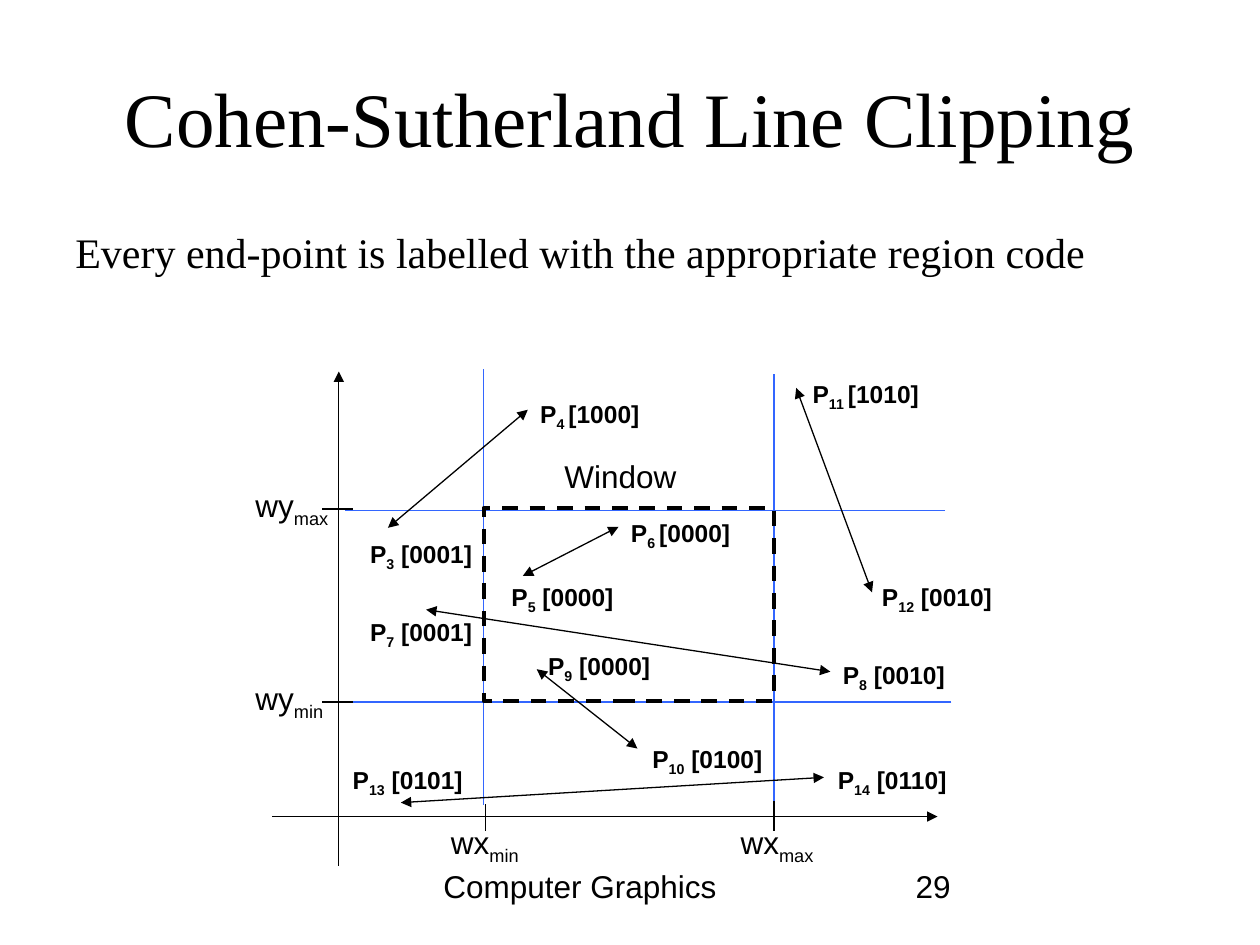
from typing import NamedTuple

from lxml.etree import SubElement
from pptx import Presentation
from pptx.dml.color import RGBColor
from pptx.enum.dml import MSO_LINE_DASH_STYLE as Dash
from pptx.enum.shapes import MSO_CONNECTOR as Connector, MSO_SHAPE as Shape
from pptx.enum.text import MSO_ANCHOR as Anchor, PP_ALIGN as Align
from pptx.oxml.ns import qn
from pptx.util import Cm, Pt

BLACK, BLUE = "000000", "3366FF"
SERIF, SANS = "Times New Roman", "Arial"
X_MIN, X_MAX, Y_MAX, Y_MIN = 9.75, 15.6, 10.29, 14.15
X_AXIS, Y_AXIS = 16.46, 6.83


class Line(NamedTuple):
    x1: float
    y1: float
    x2: float
    y2: float
    color: str = BLACK
    arrows: tuple[str, ...] = ()


class Label(NamedTuple):
    """Text at a place; the middle part is set as a subscript."""
    left: float
    top: float
    width: float
    height: float
    base: str
    subscript: str = ""
    rest: str = ""
    size: int = 18
    font: str = SANS
    bold: bool = False
    wrap: bool = False


class EndPoint(NamedTuple):
    number: str
    code: str
    x: float
    y: float
    label_left: float
    label_top: float


def rgb(color: str) -> RGBColor:
    return RGBColor.from_string(color)


def draw_line(slide, line: Line) -> None:
    connector = slide.shapes.add_connector(
        Connector.STRAIGHT, Cm(line.x1), Cm(line.y1), Cm(line.x2), Cm(line.y2))
    connector.line.color.rgb = rgb(line.color)
    connector.line.width = Pt(0.75)
    outline = connector.line._get_or_add_ln()
    for end in line.arrows:
        SubElement(outline, qn(f"a:{end}"), type="triangle")
    SubElement(connector._element.spPr, qn("a:effectLst"))


def draw_label(slide, label: Label):
    shape = slide.shapes.add_textbox(
        Cm(label.left), Cm(label.top), Cm(label.width), Cm(label.height))
    shape.text_frame.word_wrap = label.wrap
    paragraph = shape.text_frame.paragraphs[0]
    paragraph.font.name = label.font
    paragraph.font.size = Pt(label.size)
    paragraph.font.bold = label.bold
    paragraph.font.color.rgb = rgb(BLACK)
    for text, baseline in ((label.base, 0), (label.subscript, -25000), (label.rest, 0)):
        if text:
            run = paragraph.add_run()
            run.text = text
            if baseline:
                run._r.get_or_add_rPr().set("baseline", str(baseline))
    return shape


def draw_end_point(slide, point: EndPoint) -> None:
    width = 2.57 if len(point.number) == 1 else 2.72
    # These labels have their space inside the subscript
    tight = point.number in ("4", "6", "11")
    draw_label(slide, Label(
        point.label_left, point.label_top, width - 0.06 * tight, 0.94, "P",
        point.number + " " * tight, " " * (not tight) + f"[{point.code}]",
        size=14, bold=True))


GUIDES = [
    Line(X_MIN, 7.44, X_MIN, 16.23, BLUE),
    Line(X_MAX, 7.54, X_MAX, 16.33, BLUE),
    Line(19.05, Y_MAX, 6.96, Y_MAX, BLUE),
    Line(19.18, Y_MIN, 7.09, Y_MIN, BLUE),
]
AXES = [
    Line(5.49, X_AXIS, 18.9, X_AXIS, arrows=("tailEnd",)),
    Line(Y_AXIS, 17.45, Y_AXIS, 7.49, arrows=("tailEnd",)),
]
TICKS = [
    Line(7.11, 10.26, 6.5, 10.26),
    Line(7.11, Y_MIN, 6.5, Y_MIN),
    Line(9.78, 16.21, 9.78, 16.76),
    Line(X_MAX, 16.15, X_MAX, 16.76),
]
LABELS = [
    Label(4.9, 9.68, 1.98, 1.12, "wy", "max"),
    Label(4.9, 13.56, 1.88, 1.12, "wy", "min"),
    Label(8.84, X_AXIS, 1.88, 1.12, "wx", "min"),
    Label(14.68, X_AXIS, 1.98, 1.12, "wx", "max"),
    Label(11.13, 9.09, 2.77, 1.02, "Window"),
]
SEGMENTS = [
    (EndPoint("5", "0000", 10.54, 11.61, 10.06, 11.61),
     EndPoint("6", "0000", 12.47, 10.62, 12.47, 10.31)),
    (EndPoint("3", "0001", 7.82, 10.64, 7.21, 10.74),
     EndPoint("4", "1000", 10.64, 8.26, 10.64, 7.92)),
    (EndPoint("9", "0000", 10.82, 13.49, 10.8, 13.0),
     EndPoint("10", "0100", 12.85, 15.09, 12.9, 14.88)),
    (EndPoint("7", "0001", 8.59, 12.29, 7.21, 12.32),
     EndPoint("8", "0010", 16.74, 13.54, 16.74, 13.18)),
    (EndPoint("12", "0010", 17.58, 11.94, 17.53, 11.61),
     EndPoint("11", "1010", 16.05, 7.82, 16.13, 7.52)),
    (EndPoint("13", "0101", 8.08, 16.18, 6.86, 15.29),
     EndPoint("14", "0110", 16.61, 15.67, 16.64, 15.29)),
]


def main() -> None:
    presentation = Presentation()
    presentation.slide_width, presentation.slide_height = Cm(25.4), Cm(19.05)
    slide = presentation.slides.add_slide(presentation.slide_layouts[6])

    # Title and statement
    title = draw_label(slide, Label(
        1.27, 0.76, 22.86, 3.18, "Cohen-Sutherland Line Clipping",
        size=44, font=SERIF, wrap=True))
    title.text_frame.vertical_anchor = Anchor.MIDDLE
    title.text_frame.paragraphs[0].alignment = Align.CENTER
    draw_label(slide, Label(
        1.27, 4.45, 22.86, 3.25,
        "Every end-point is labelled with the appropriate region code",
        size=24, font=SERIF, wrap=True))

    # Region borders and axes
    for line in GUIDES + AXES:
        draw_line(slide, line)

    # Clipping window
    window = slide.shapes.add_shape(
        Shape.RECTANGLE, Cm(X_MIN), Cm(10.24), Cm(X_MAX - X_MIN), Cm(3.89))
    window.shadow.inherit = False
    window.fill.background()
    window.line.color.rgb = rgb(BLACK)
    window.line.width = Pt(2.25)
    window.line.dash_style = Dash.DASH

    # Ticks and their labels
    for line in TICKS:
        draw_line(slide, line)
    for label in LABELS:
        draw_label(slide, label)

    # Segments with region codes at both ends
    for start, end in SEGMENTS:
        draw_line(slide, Line(start.x, start.y, end.x, end.y,
                              arrows=("headEnd", "tailEnd")))
        draw_end_point(slide, start)
        draw_end_point(slide, end)

    # Footer and page number
    draw_label(slide, Label(8.69, 17.35, 8.03, 1.3, "Computer Graphics", wrap=True))
    draw_label(slide, Label(18.21, 17.35, 5.89, 1.3, "29", wrap=True))

    presentation.save("out.pptx")


if __name__ == "__main__":
    main()
